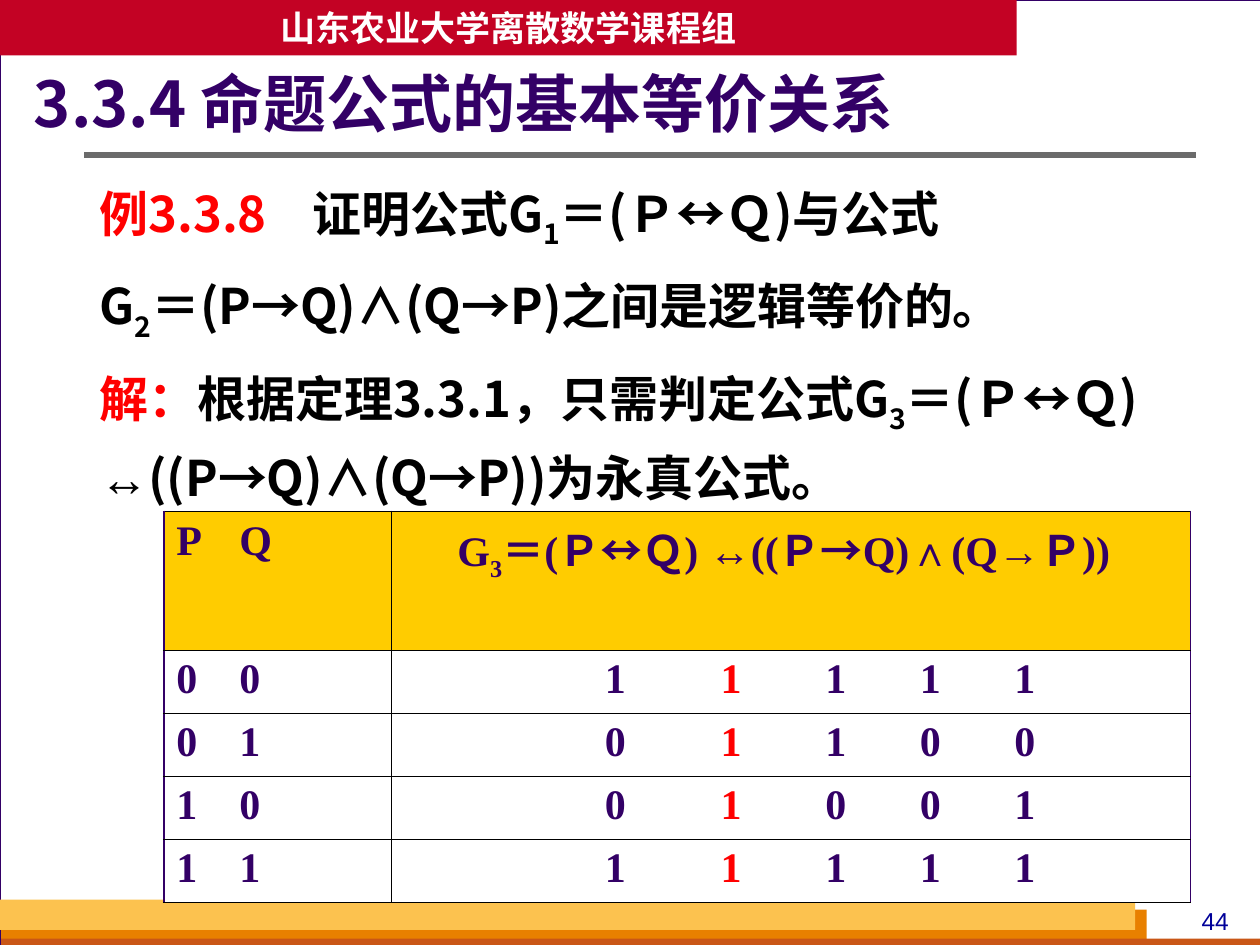
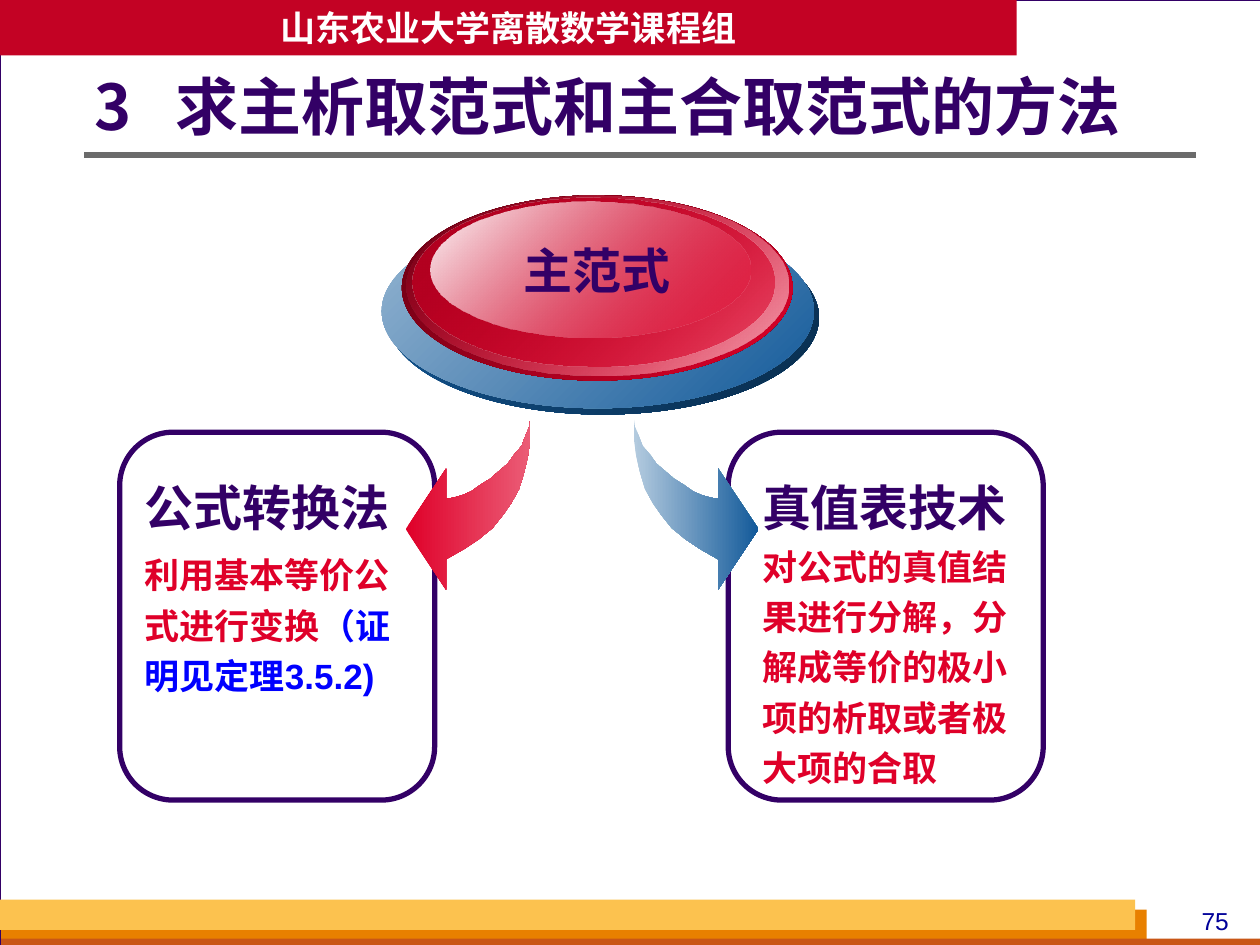
import pptx
import pptx.util
from lxml import etree
from pptx.dml.color import RGBColor
from pptx.enum.shapes import MSO_CONNECTOR, MSO_SHAPE
from pptx.enum.text import MSO_ANCHOR, PP_ALIGN
from pptx.oxml.ns import qn


class Theme:
    backdrop, white, black = "D8DADA", "FFFFFF", "000000"
    purple, red, blue, navy = "330066", "FF0000", "0000FF", "000099"
    banner, rule, crimson = "C30224", "6B6B6B", "DF0029"
    orange, rust, amber, header = "E88000", "C95616", "FCC24F", "FFCC00"
    steel = "135A9A"
    sans, serif, cjk = "Arial", "Times New Roman", "Noto Sans CJK SC"
    title, heading, cell, body, number = 36, 28, 24, 20, 14


PX = 9144  # 100 px to the inch


def paint(shape, fill=None, line=None, weight=0.75, angle=0):
    """Fill is a colour or a list of (colour, opacity in percent) stops."""
    shape.shadow.inherit = False
    if isinstance(fill, list):
        shape.fill.gradient()
        shape.fill.gradient_angle = angle
        for stop, (color, opacity) in zip(shape.fill.gradient_stops, fill):
            stop.color.rgb = RGBColor.from_string(color)
            if opacity < 100:
                tint = stop._gs.find(qn("a:srgbClr"))
                etree.SubElement(tint, qn("a:alpha"), val=str(opacity * 1000))
    elif fill:
        shape.fill.solid()
        shape.fill.fore_color.rgb = RGBColor.from_string(fill)
    else:
        shape.fill.background()
    if line:
        shape.line.color.rgb = RGBColor.from_string(line)
        shape.line.width = pptx.util.Pt(weight)
    else:
        shape.line.fill.background()
    return shape


def write(frame, lines, size, color, font=Theme.cjk, bold=True, align=None, spacing=None,
          before=0, tabs=(), first=0, margins=(10, 5, 10, 5), anchor=MSO_ANCHOR.TOP, wrap=True):
    """Each line is a list of strings or (string, colour, "sub" or font) runs."""
    frame.word_wrap = wrap
    frame.vertical_anchor = anchor
    frame.margin_left, frame.margin_top, frame.margin_right, frame.margin_bottom = (
        m * PX for m in margins)
    for index, runs in enumerate(lines):
        paragraph = frame.add_paragraph() if index else frame.paragraphs[0]
        paragraph.alignment = align
        paragraph.line_spacing = spacing
        if index:
            paragraph.space_before = pptx.util.Pt(before)
        props = paragraph._p.get_or_add_pPr()
        if first:
            props.set("indent", str(first * PX))
        if tabs:
            stops = etree.SubElement(props, qn("a:tabLst"))
            for tab in tabs:
                etree.SubElement(stops, qn("a:tab"), pos=str(tab * PX), algn="l")
        # A sequence of sizes gives one per paragraph
        points = size[index] if isinstance(size, tuple) else size
        tint = color[index] if isinstance(color, tuple) else color
        paragraph.font.size = pptx.util.Pt(points)
        paragraph.font.bold = bold
        paragraph.font.name = font
        paragraph.font.color.rgb = RGBColor.from_string(tint)
        for item in runs:
            text, run_color, variant = item if isinstance(item, tuple) else (item, None, None)
            run = paragraph.add_run()
            run.text = text
            if run_color:
                run.font.color.rgb = RGBColor.from_string(run_color)
            run_props = run._r.get_or_add_rPr()
            if variant == "sub":
                run_props.set("baseline", "-25000")
            elif variant:
                run.font.name = variant
            etree.SubElement(run_props, qn("a:ea"), typeface=Theme.cjk)


deck = pptx.Presentation()
deck.slide_width, deck.slide_height = 1000 * PX, 750 * PX

# Frame, bands, banner, title and number of every slide
pages = [
    ("44", ["3.3.4 命题公式的基本等价关系"], (27, 53, 717, 64)),
    ("75", ["3\t求主析取范式和主合取范式的方法"], (75, 62, 849, 51)),
]
bands = [
    ((0, 0, 1001, 750), Theme.white, Theme.purple),
    ((1, 722, 909, 28), Theme.orange, None),
    ((1, 745, 1000, 8), Theme.rust, None),
    ((0, 714, 901, 24), Theme.amber, None),
]
slides = []
for number, title, title_place in pages:
    slide = deck.slides.add_slide(deck.slide_layouts[6])
    slides.append(slide)
    slide.background.fill.solid()
    slide.background.fill.fore_color.rgb = RGBColor.from_string(Theme.backdrop)
    for place, fill, line in bands:
        paint(slide.shapes.add_shape(MSO_SHAPE.RECTANGLE, *(n * PX for n in place)), fill, line)
    page_number = slide.shapes.add_textbox(933 * PX, 714 * PX, 63 * PX, 34 * PX)
    write(page_number.text_frame, [[number]], Theme.number, Theme.navy, Theme.sans,
          bold=False, align=PP_ALIGN.CENTER)
    rule = slide.shapes.add_connector(
        MSO_CONNECTOR.STRAIGHT, 67 * PX, 123 * PX, 949 * PX, 123 * PX)
    rule.line.color.rgb = RGBColor.from_string(Theme.rule)
    rule.line.width = pptx.util.Pt(3)
    etree.SubElement(rule._element.spPr, qn("a:effectLst"))
    banner = paint(slide.shapes.add_shape(MSO_SHAPE.RECTANGLE, 0, 0, 807 * PX, 44 * PX),
                   Theme.banner)
    write(banner.text_frame, [["山东农业大学离散数学课程组"]], Theme.body, Theme.white,
          align=PP_ALIGN.CENTER, anchor=MSO_ANCHOR.MIDDLE, wrap=False)
    heading = slide.shapes.add_textbox(*(n * PX for n in title_place))
    write(heading.text_frame, [title], Theme.title, Theme.purple, spacing=0.9, tabs=(64,),
          margins=(0, 5, 10, 5), anchor=MSO_ANCHOR.MIDDLE)

equivalence, methods = slides

# Slide 1: example and proof
arrow_sign = ("↔", None, Theme.sans)
example = equivalence.shapes.add_textbox(75 * PX, 131 * PX, 876 * PX, 274 * PX)
write(example.text_frame, [
    [("例3.3.8\t", Theme.red, None), "证明公式G", ("1", None, "sub"), "＝(Ｐ", arrow_sign,
     "Ｑ)与公式"],
    ["G", ("2", None, "sub"), "＝(P→Q)∧(Q→P)之间是逻辑等价的。"],
    [("解：", Theme.red, None), "根据定理3.3.1，只需判定公式G", ("3", None, "sub"), "＝(Ｐ",
     arrow_sign, "Ｑ) ", arrow_sign, "((P→Q)∧(Q→P))为永真公式。"],
], Theme.heading, Theme.black, spacing=1.2, before=7, tabs=(169,), margins=(4, 4, 4, 4))

# Slide 1: truth table
formula = ["G", ("3", None, "sub"), "＝(Ｐ", arrow_sign, "Ｑ) ", arrow_sign, "((Ｐ→Q)∧(Q→Ｐ))"]
truth_rows = [("0\t0", "11111"), ("0\t1", "01100"), ("1\t0", "01001"), ("1\t1", "11111")]
rows = [("P\tQ", formula)]
for inputs, (left, main, *rest) in truth_rows:
    rows.append((inputs, ["\t" + left + "\t", (main, Theme.red, None),
                          "".join("\t" + value for value in rest)]))
header_height, row_height = 110, 50  # the header holds two lines of the formula
table_height = header_height + row_height * len(truth_rows)
truth = equivalence.shapes.add_table(
    len(rows), 2, 130 * PX, 406 * PX, 815 * PX, table_height * PX).table
truth.columns[0].width, truth.columns[1].width = 181 * PX, 634 * PX
for r, (inputs, values) in enumerate(rows):
    truth.rows[r].height = (row_height if r else header_height) * PX
    for c, runs in enumerate(([inputs], values)):
        cell = truth.cell(r, c)
        write(cell.text_frame, [runs], Theme.cell, Theme.purple, Theme.serif,
              tabs=(159, 251, 334, 409, 484) if c else (50,), first=42 if c and not r else 0)
        cell_props = cell._tc.get_or_add_tcPr()
        for side, outer, color in (("L", c == 0, Theme.purple), ("R", c == 1, Theme.purple),
                                   ("T", r == 0, Theme.black), ("B", r == 4, Theme.black)):
            edge = etree.SubElement(cell_props, qn("a:ln" + side),
                                    w=str(pptx.util.Pt(1.08 if outer else 0.45)))
            ink = etree.SubElement(edge, qn("a:solidFill"))
            etree.SubElement(ink, qn("a:srgbClr"), val=color if outer else Theme.black)
        cell.fill.solid()
        cell.fill.fore_color.rgb = RGBColor.from_string(Theme.white if r else Theme.header)

# Slide 2: the two methods, each with a curved arrow; the right arrow mirrors the left
curve = [(421, 332), (421, 348), (419, 362), (416, 375), (412, 388), (406, 399), (399, 409),
         (391, 419), (380, 428), (368, 436), (354, 444), (354, 468), (322, 420), (354, 372),
         (354, 396), (360, 395), (367, 393), (374, 390), (381, 385), (389, 380), (396, 374),
         (403, 368), (408, 361), (414, 354), (417, 346), (420, 339)]
cards = [
    (95, 105, "公式转换法", ["利用基本等价公式进行变换", ("（证明见定理3.5.2)", Theme.blue, None)],
     5, curve, [(Theme.crimson, 100), ("EB5D77", 100)]),
    (578, 595, "真值表技术", ["对公式的真值结果进行分解，分解成等价的极小项的析取或者极大项的合取"],
     0, [(924 - x, y) for x, y in curve], [("B4CBDF", 100), (Theme.steel, 100)]),
]
for card_left, text_left, method, detail, gap, outline, shades in cards:
    card = paint(methods.shapes.add_shape(
        MSO_SHAPE.ROUNDED_RECTANGLE, card_left * PX, 343 * PX, 250 * PX, 292 * PX),
        line=Theme.purple, weight=3)
    card.adjustments[0] = 0.17
    description = methods.shapes.add_textbox(text_left * PX, 365 * PX, 223 * PX, 266 * PX)
    write(description.text_frame, [[method], detail], (Theme.heading, Theme.body),
          (Theme.purple, Theme.crimson), Theme.sans, spacing=1.2, before=gap)
    builder = methods.shapes.build_freeform(*outline[0], scale=PX)
    builder.add_line_segments(outline[1:], close=True)
    paint(builder.convert_to_shape(), shades)

# Slide 2: layered button, from back to front
layers = [
    ((307, 175, 343, 154), [(Theme.steel, 100), ("092C4B", 100)]),
    ((303, 170, 343, 154), [("96B6D2", 100), (Theme.steel, 100)]),
    ((319, 155, 310, 147), [("670013", 100), (Theme.crimson, 100)]),
    ((323, 155, 303, 143), [(Theme.crimson, 0), ("F4A6B4", 100)]),
    ((327, 157, 288, 134), [("B10020", 100), (Theme.crimson, 48)]),
    ((342, 160, 254, 108), [(Theme.white, 100), (Theme.crimson, 38)]),
]
for place, shades in layers:
    paint(methods.shapes.add_shape(MSO_SHAPE.OVAL, *(n * PX for n in place)), shades, angle=315)
topic = methods.shapes.add_textbox(393 * PX, 186 * PX, 162 * PX, 57 * PX)
write(topic.text_frame, [["主范式"]], Theme.heading, Theme.purple, Theme.sans,
      align=PP_ALIGN.CENTER)

deck.save("out.pptx")
